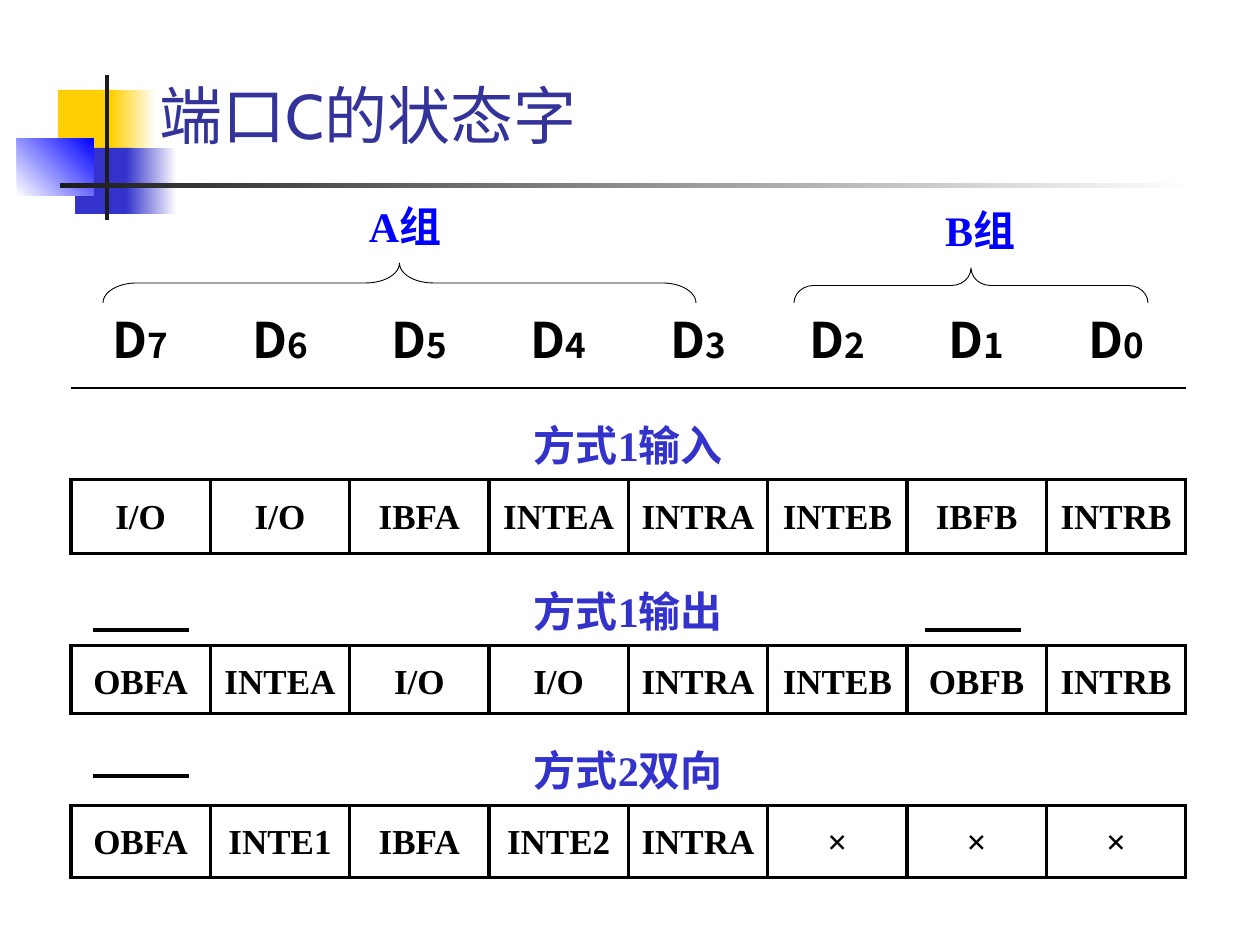
import pptx
import pptx.dml.color
import pptx.enum.shapes
import pptx.enum.text
import pptx.oxml.ns
import pptx.util
from lxml import etree

SHAPE = pptx.enum.shapes.MSO_SHAPE
ALIGN = pptx.enum.text.PP_ALIGN
ANCHOR = pptx.enum.text.MSO_ANCHOR
qn = pptx.oxml.ns.qn

COLORS = {
    "yellow": "FFCF01", "indigo": "3333CC", "blue": "0000FF", "title": "333399",
    "dark": "1C1C1C", "black": "000000", "white": "FFFFFF",
}
CJK = "Noto Sans CJK SC"
SERIF = "Times New Roman"
BIT_COUNT = 8
MODES = [
    ("方式1输入", "I/O I/O IBFA INTEA INTRA INTEB IBFB INTRB".split()),
    ("方式1输出", "OBFA INTEA I/O I/O INTRA INTEB OBFB INTRB".split()),
    ("方式2双向", "OBFA INTE1 IBFA INTE2 INTRA × × ×".split()),
]
ROW_HEIGHTS = [93, 78, 74, 78, 68, 78, 72]


def px(length):
    """Turn pixels into EMU."""
    return round(length * 914400 / 126)


def rgb(color):
    """Look up a named colour."""
    return pptx.dml.color.RGBColor.from_string(COLORS[color])


def add_run(paragraph, text, size, font, color, bold=True):
    """Add one styled run."""
    run = paragraph.add_run()
    run.text = text
    run.font.size = pptx.util.Pt(size)
    run.font.bold = bold
    run.font.color.rgb = rgb(color)
    run.font.name = font
    etree.SubElement(run.font._element, qn("a:ea")).set("typeface", CJK)


def add_label(shapes, box, text, size, font, color, bold, align, anchor, insets):
    """Add a one-line text box."""
    frame = shapes.add_textbox(*map(px, box)).text_frame
    frame.word_wrap = True
    frame.vertical_anchor = anchor
    frame.margin_left = frame.margin_right = px(insets[0])
    frame.margin_top = frame.margin_bottom = px(insets[1])
    frame.paragraphs[0].alignment = align
    add_run(frame.paragraphs[0], text, size, font, color, bold)


def add_block(shapes, box, start, end=None, angle=0):
    """Add a borderless rectangle, solid or fading from start to end."""
    block = shapes.add_shape(SHAPE.RECTANGLE, *map(px, box))
    block.shadow.inherit = False
    block.line.fill.background()
    if end is None:
        block.fill.solid()
        block.fill.fore_color.rgb = rgb(start)
        return
    block.fill.gradient()
    block.fill.gradient_angle = angle
    for stop, color in zip(block.fill.gradient_stops, (start, end)):
        stop.color.rgb = rgb(color)


def add_ornament(slide, x, y):
    """Draw the coloured blocks and crossing bars beside the title."""
    shapes = slide.shapes.add_group_shape().shapes
    for left, top, width, height, *paint in [
        (41, 15, 61, 66, "yellow"),
        (94, 15, 45, 66, "yellow", "white"),
        (58, 73, 58, 66, "indigo"),
        (109, 73, 51, 66, "indigo", "white"),
        (0, 63, 77, 58, "white", "blue", 45),
        (88, 0, 4, 145, "dark"),
        (43, 108, 1134, 5, "dark", "white"),
    ]:
        add_block(shapes, (x + left, y + top, width, height), *paint)


def add_bit_group(slide, box, label, label_x, depth, curl):
    """Draw a group label with a brace spanning its bits below."""
    x, y, width, height = box
    shapes = slide.shapes.add_group_shape().shapes
    add_label(shapes, (x + label_x, y, 148, 54), label, 24, SERIF, "blue", True,
              ALIGN.CENTER, ANCHOR.TOP, (1, 1))
    brace_left = x + (width - depth) / 2
    brace_top = y + height - (depth + width) / 2
    brace = shapes.add_shape(SHAPE.LEFT_BRACE, px(brace_left), px(brace_top), px(depth), px(width))
    brace.rotation = 90
    brace.adjustments[0] = curl
    brace.shadow.inherit = False
    brace.fill.background()
    brace.line.color.rgb = rgb("black")
    brace.line.width = pptx.util.Pt(0.5)


def set_borders(cell, **widths):
    """Give a cell the named borders in points and hide the others."""
    properties = cell._tc.get_or_add_tcPr()
    for index, side in enumerate("LRTB"):
        border = etree.Element(qn("a:ln" + side))
        if side in widths:
            border.set("w", str(pptx.util.Pt(widths[side])))
            fill = etree.SubElement(border, qn("a:solidFill"))
            etree.SubElement(fill, qn("a:srgbClr")).set("val", COLORS["black"])
        else:
            border.set("w", "0")
            etree.SubElement(border, qn("a:noFill"))
        properties.insert(index, border)


def fill_cell(cell, runs, font, color, spacing=None):
    """Write centred runs of (text, size) into a cell."""
    paragraph = cell.text_frame.paragraphs[0]
    paragraph.alignment = ALIGN.CENTER
    paragraph.line_spacing = spacing
    for text, size in runs:
        add_run(paragraph, text, size, font, color)


def add_status_table(slide, box):
    """Build the table of bit names and the status word of each mode."""
    table = slide.shapes.add_table(len(ROW_HEIGHTS), BIT_COUNT, *map(px, box)).table
    table.first_row = table.horz_banding = False
    for row, height in zip(table.rows, ROW_HEIGHTS):
        row.height = px(height)
    for cell in table.iter_cells():
        cell.fill.background()
    for column in range(BIT_COUNT):
        bit = table.cell(0, column)
        fill_cell(bit, [("D", 28), (str(BIT_COUNT - 1 - column), 20)], CJK, "black")
        set_borders(bit, B=1)
    for index, (mode, signals) in enumerate(MODES):
        mode_row = 2 * index + 1
        heading = table.cell(mode_row, 0)
        heading.merge(table.cell(mode_row, BIT_COUNT - 1))
        fill_cell(heading, [(mode, 24)], SERIF, "indigo", 1.3)
        for column, signal in enumerate(signals):
            set_borders(table.cell(mode_row, column), T=2.25 if index else 1, B=2.25)
            field = table.cell(mode_row + 1, column)
            fill_cell(field, [(signal, 20)], SERIF, "black", 1.3)
            set_borders(field, L=2.25, R=2.25, T=2.25, B=2.25)


def add_overbar(slide, x, y, width):
    """Draw the bar over an active-low signal."""
    bar = slide.shapes.add_connector(
        pptx.enum.shapes.MSO_CONNECTOR.STRAIGHT, px(x), px(y), px(x + width), px(y))
    bar.line.color.rgb = rgb("black")
    bar.line.width = pptx.util.Pt(2.25)
    etree.SubElement(bar._element.spPr, qn("a:effectLst"))


def main():
    """Build and save the slide."""
    deck = pptx.Presentation()
    deck.slide_width, deck.slide_height = px(1260), px(945)
    slide = deck.slides.add_slide(deck.slide_layouts[6])
    add_ornament(slide, 17, 75)
    add_status_table(slide, (71, 295, 1115, sum(ROW_HEIGHTS)))
    add_label(slide.shapes, (147, 42, 1074, 116), "端口C的状态字", 36, "Cabin", "title", False,
              ALIGN.LEFT, ANCHOR.BOTTOM, (13, 6))
    add_bit_group(slide, (103, 199, 593, 104), "A组", 228, 40, 0.84)
    add_bit_group(slide, (794, 204, 354, 99), "B组", 112, 35, 0.56)
    for x, y in [(93, 630), (93, 776), (925, 630)]:
        add_overbar(slide, x, y, 96)
    deck.save("out.pptx")


if __name__ == "__main__":
    main()
